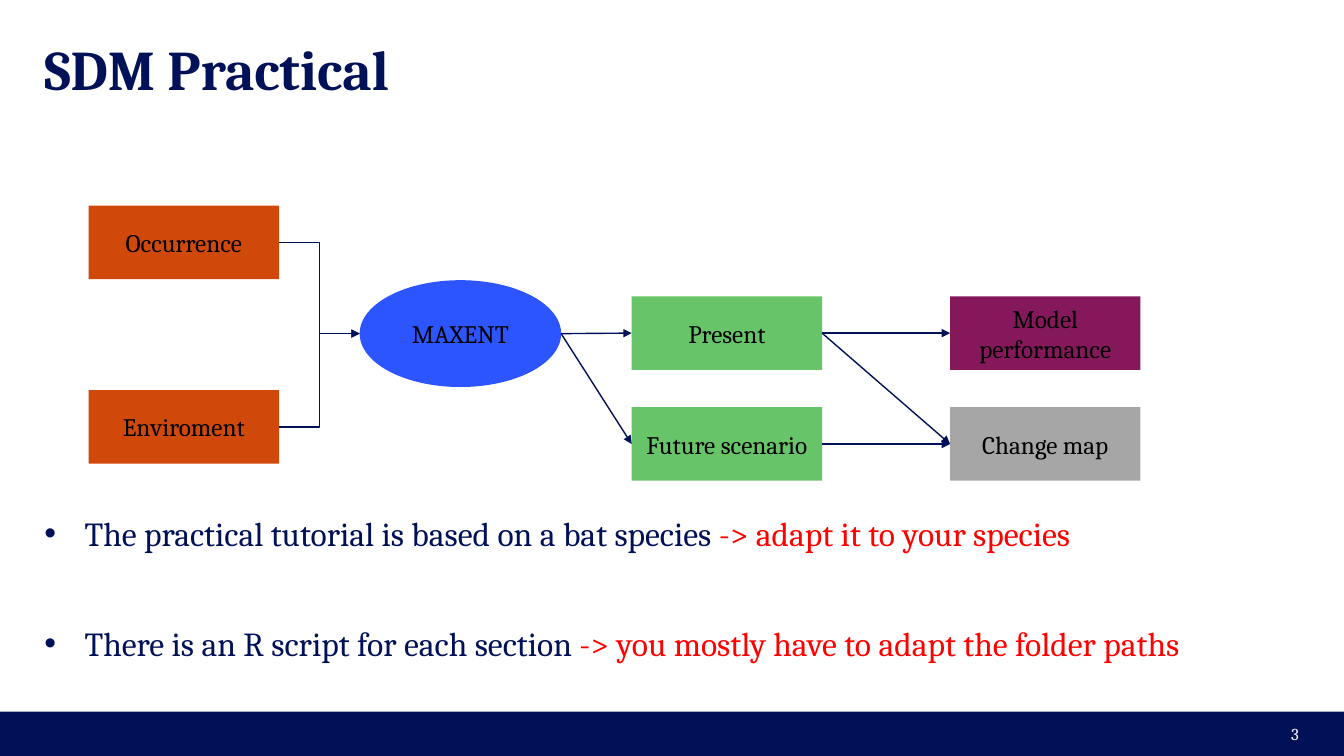
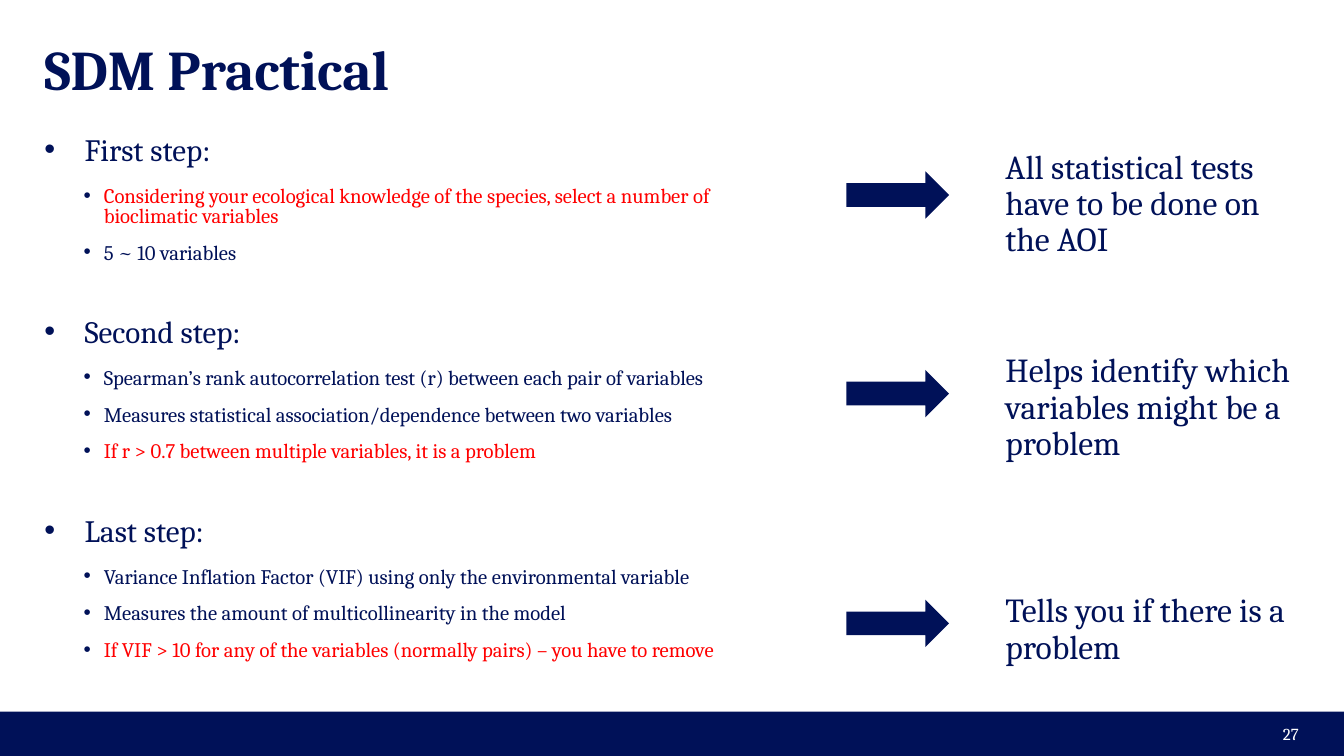
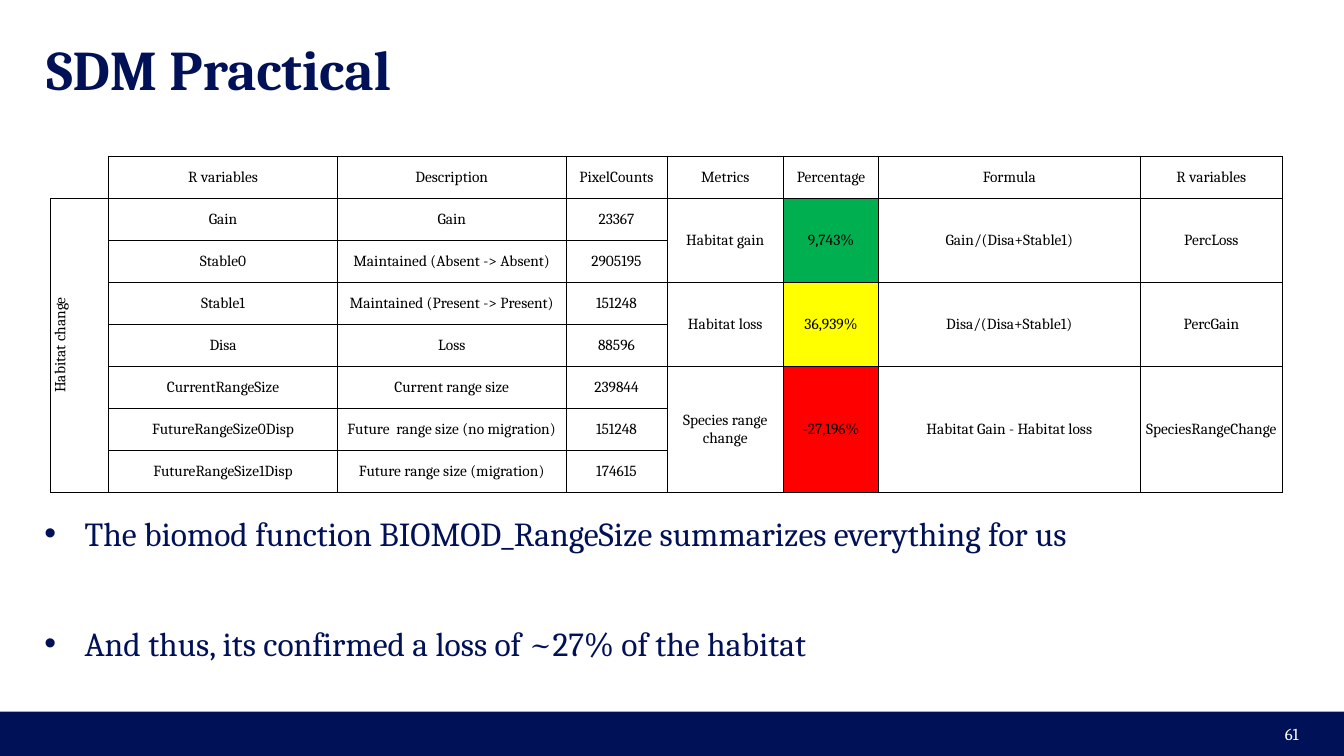
from lxml import etree
from pptx import Presentation
from pptx.dml.color import RGBColor
from pptx.enum.shapes import MSO_CONNECTOR, MSO_SHAPE
from pptx.enum.text import MSO_ANCHOR, PP_ALIGN
from pptx.oxml.ns import qn
from pptx.util import Inches, Pt

FONT = "Cambria"
NAVY, RED, BLACK, WHITE = "001158", "FF0000", "000000", "FFFFFF"
ORANGE, BLUE, GREEN, PURPLE, GREY = "D1480B", "2C55FF", "67C468", "84185B", "A6A6A6"
TITLE = "SDM Practical"
LEFT = 0.44

# name: (left, top, fill); every node but the ellipse is a NODE_SIZE rectangle
NODE_SIZE, ELLIPSE_SIZE = (1.89, 0.73), (2, 1.06)
ELLIPSE = "MAXENT"
NODES = {
    "Occurrence": (0.88, 2.04, ORANGE),
    "Enviroment": (0.88, 3.87, ORANGE),
    ELLIPSE: (3.57, 2.78, BLUE),
    "Present": (6.27, 2.94, GREEN),
    "Future scenario": (6.27, 4.04, GREEN),
    "Model performance": (9.43, 2.94, PURPLE),
    "Change map": (9.43, 4.04, GREY),
}
STRAIGHT, ELBOW = MSO_CONNECTOR.STRAIGHT, MSO_CONNECTOR.ELBOW
LINKS = [
    ("Enviroment", ELLIPSE, ELBOW),
    ("Occurrence", ELLIPSE, ELBOW),
    (ELLIPSE, "Present", STRAIGHT),
    (ELLIPSE, "Future scenario", STRAIGHT),
    ("Present", "Model performance", STRAIGHT),
    ("Present", "Change map", STRAIGHT),
    ("Future scenario", "Change map", STRAIGHT),
]
TUTORIAL_NOTES = [
    [("The practical tutorial is based on a bat species ", NAVY),
     ("-> adapt it to your species", RED)],
    [("There is an R script for each section ", NAVY),
     ("-> you mostly have to adapt the folder paths", RED)],
]

STEPS = [
    ("First step:", [
        ("Considering your ecological knowledge of the species, "
         "select a number of bioclimatic variables", RED),
        ("5 ~ 10 variables", NAVY)]),
    ("Second step:", [
        ("Spearman’s rank autocorrelation test (r) between each pair of variables", NAVY),
        ("Measures statistical association/dependence between two variables", NAVY),
        ("If r > 0.7 between multiple variables, it is a problem", RED)]),
    ("Last step:", [
        ("Variance Inflation Factor (VIF) using only the environmental variable", NAVY),
        ("Measures the amount of multicollinearity in the model", NAVY),
        ("If VIF > 10 for any of the variables (normally pairs) – you have to remove", RED)]),
]
# (arrow top, text top, text height, text)
TAKEAWAYS = [
    (1.7, 1.49, 1.68, "All statistical tests have to be done on the AOI"),
    (3.67, 3.51, 1.68, "Helps identify which variables might be a problem"),
    (5.95, 5.89, 1.01, "Tells you if there is a problem"),
]

COLUMN_WIDTHS = [0.58, 2.27, 2.27, 1, 1.16, 0.94, 2.6, 1.41]
HEADERS = ["R variables", "Description", "PixelCounts", "Metrics",
           "Percentage", "Formula", "R variables"]
ROW_GROUP = "Habitat change"
COUNTS = [
    ("Gain", "Gain", "23367"),
    ("Stable0", "Maintained (Absent -> Absent)", "2905195"),
    ("Stable1", "Maintained (Present -> Present)", "151248"),
    ("Disa", "Loss", "88596"),
    ("CurrentRangeSize", "Current range size", "239844"),
    ("FutureRangeSize0Disp", "Future  range size (no migration)", "151248"),
    ("FutureRangeSize1Disp", "Future range size (migration)", "174615"),
]
# (rows covered, percentage fill, texts)
METRICS = [
    (2, "00B050", ("Habitat gain", "9,743%", "Gain/(Disa+Stable1)", "PercLoss")),
    (2, "FFFF00", ("Habitat loss", "36,939%", "Disa/(Disa+Stable1)", "PercGain")),
    (3, RED, ("Species range change", "-27,196%", "Habitat Gain - Habitat loss",
              "SpeciesRangeChange")),
]
METRIC_COL, PERCENT_COL = 4, 5
RANGE_NOTES = [
    [("The biomod function BIOMOD_RangeSize summarizes everything for us", NAVY)],
    [("And thus, its confirmed a loss of ~27% of the habitat", NAVY)],
]


def rgb(color):
    return RGBColor.from_string(color)


def add_run(p, text, size, color, bold=False):
    r = p.add_run()
    r.text = text
    r.font.name, r.font.size, r.font.bold = FONT, Pt(size), bold
    r.font.color.rgb = rgb(color)


def add_box(s, left, top, width, height, inset=0, anchor=MSO_ANCHOR.TOP):
    tf = s.shapes.add_textbox(*map(Inches, (left, top, width, height))).text_frame
    tf.word_wrap = True
    tf.vertical_anchor = anchor
    tf.margin_left = tf.margin_right = Inches(inset)
    tf.margin_top = tf.margin_bottom = Inches(inset / 2)
    return tf


def add_filled(s, kind, left, top, width, height, fill):
    sp = s.shapes.add_shape(kind, *map(Inches, (left, top, width, height)))
    sp.shadow.inherit = False
    sp.fill.solid()
    sp.fill.fore_color.rgb = rgb(fill)
    sp.line.fill.background()
    return sp


def add_slide(prs, number, title_left=LEFT):
    """Add a slide with the shared title, bottom band and page number."""
    s = prs.slides.add_slide(prs.slide_layouts[6])
    add_filled(s, MSO_SHAPE.RECTANGLE, 0, 7.06, 13.34, 0.44, NAVY)
    tf = add_box(s, title_left, 0.44, 12.46, 0.47, anchor=MSO_ANCHOR.MIDDLE)
    add_run(tf.paragraphs[0], TITLE, 40, NAVY, bold=True)
    p = add_box(s, 9.99, 7.08, 3, 0.4, 0.1, MSO_ANCHOR.MIDDLE).paragraphs[0]
    p.alignment = PP_ALIGN.RIGHT
    add_run(p, str(number), 12, WHITE)
    return s


def add_bullets(tf, items):
    """Items are (level, space before, size, runs)."""
    for i, (level, before, size, runs) in enumerate(items):
        p = tf.add_paragraph() if i else tf.paragraphs[0]
        p.level = level
        p.line_spacing = 0.8
        p.space_before = Pt(before if i else 0)
        p.space_after = Pt(6 if level else 8)
        indent, hang = (0.59, 0.2) if level else (0.4, 0.4)
        pPr = p._p.get_or_add_pPr()
        pPr.set("marL", str(Inches(indent)))
        pPr.set("indent", str(-Inches(hang)))
        color = etree.SubElement(pPr, qn("a:buClr"))
        etree.SubElement(color, qn("a:srgbClr"), val=NAVY)
        etree.SubElement(pPr, qn("a:buFont"), typeface="Arial")
        etree.SubElement(pPr, qn("a:buChar"), char="•")
        for text, run_color in runs:
            add_run(p, text, size, run_color)


def add_bottom_notes(s, notes):
    add_bullets(add_box(s, LEFT, 5.17, 12.46, 1.45),
                [(0, 47, 24, runs) for runs in notes])


def add_link(s, source, target, kind):
    """Arrow from the right side of source to the left side of target."""
    link = s.shapes.add_connector(
        kind, source.left + source.width, source.top + source.height // 2,
        target.left, target.top + target.height // 2)
    if kind == STRAIGHT:
        if source.auto_shape_type == MSO_SHAPE.RECTANGLE:
            link.begin_connect(source, 3)
        link.end_connect(target, 1)
    link.line.color.rgb = rgb(NAVY)
    link.line.width = Pt(1)
    etree.SubElement(link.line._get_or_add_ln(), qn("a:tailEnd"), type="triangle")
    etree.SubElement(link._element.spPr, qn("a:effectLst"))


def style_cell(cell, hidden=""):
    """Thin black borders, except on the hidden sides, and no fill."""
    tcPr = cell._tc.get_or_add_tcPr()
    for side in "LRTB":
        ln = etree.SubElement(tcPr, qn(f"a:ln{side}"), w=str(Pt(0.5)))
        if side in hidden:
            etree.SubElement(ln, qn("a:noFill"))
        else:
            fill = etree.SubElement(ln, qn("a:solidFill"))
            etree.SubElement(fill, qn("a:srgbClr"), val=BLACK)
    cell.fill.background()
    cell.margin_left = cell.margin_right = cell.margin_top = Inches(0.01)
    cell.margin_bottom = 0
    cell.vertical_anchor = MSO_ANCHOR.MIDDLE


def write_cell(cell, text):
    p = cell.text_frame.paragraphs[0]
    p.alignment = PP_ALIGN.CENTER
    add_run(p, text, 11, BLACK)


def build_workflow(prs):
    s = add_slide(prs, 3)
    nodes = {}
    for name, (left, top, fill) in NODES.items():
        kind, size = ((MSO_SHAPE.OVAL, ELLIPSE_SIZE) if name == ELLIPSE
                      else (MSO_SHAPE.RECTANGLE, NODE_SIZE))
        sp = nodes[name] = add_filled(s, kind, left, top, *size, fill)
        sp.text_frame.vertical_anchor = MSO_ANCHOR.MIDDLE
        p = sp.text_frame.paragraphs[0]
        p.alignment = PP_ALIGN.CENTER
        add_run(p, name, 18, BLACK)
    for source, target, kind in LINKS:
        add_link(s, nodes[source], nodes[target], kind)
    add_bottom_notes(s, TUTORIAL_NOTES)


def build_steps(prs):
    s = add_slide(prs, 27)
    items = []
    for heading, details in STEPS:
        items.append((0, 34, 22.2, [(heading, NAVY)]))
        items += [(1, 6, 14.8, [detail]) for detail in details]
    add_bullets(add_box(s, LEFT, 1.37, 7.49, 5.24), items)
    for arrow_top, top, height, text in TAKEAWAYS:
        add_filled(s, MSO_SHAPE.RIGHT_ARROW, 8.4, arrow_top, 1.02, 0.47, NAVY)
        p = add_box(s, 9.98, top, 3, height).paragraphs[0]
        p.line_spacing = 0.9
        add_run(p, text, 24, NAVY)


def build_range_table(prs):
    s = add_slide(prs, 61, 0.46)
    table = s.shapes.add_table(
        len(COUNTS) + 1, len(COLUMN_WIDTHS), Inches(0.5), Inches(1.55),
        Inches(sum(COLUMN_WIDTHS)), Inches(3.33)).table
    table.first_row = table.horz_banding = False
    for column, width in zip(table.columns, COLUMN_WIDTHS):
        column.width = Inches(width)
    for cell in table.iter_cells():
        style_cell(cell, "LT" if cell is table.cell(0, 0) or
                   cell._tc is table.cell(0, 0)._tc else "")
    for col, text in enumerate(HEADERS, 1):
        write_cell(table.cell(0, col), text)
    for row, texts in enumerate(COUNTS, 1):
        for col, text in enumerate(texts, 1):
            write_cell(table.cell(row, col), text)

    group = table.cell(1, 0)
    group.merge(table.cell(len(COUNTS), 0))
    group._tc.get_or_add_tcPr().set("vert", "vert270")
    write_cell(group, ROW_GROUP)

    row = 1
    for span, fill, texts in METRICS:
        for col, text in enumerate(texts, METRIC_COL):
            cell = table.cell(row, col)
            cell.merge(table.cell(row + span - 1, col))
            write_cell(cell, text)
        percentage = table.cell(row, PERCENT_COL)
        percentage.fill.solid()
        percentage.fill.fore_color.rgb = rgb(fill)
        row += span
    add_bottom_notes(s, RANGE_NOTES)


def main():
    prs = Presentation()
    prs.slide_width, prs.slide_height = Inches(13.34), Inches(7.5)
    build_workflow(prs)
    build_steps(prs)
    build_range_table(prs)
    prs.save("out.pptx")


if __name__ == "__main__":
    main()
